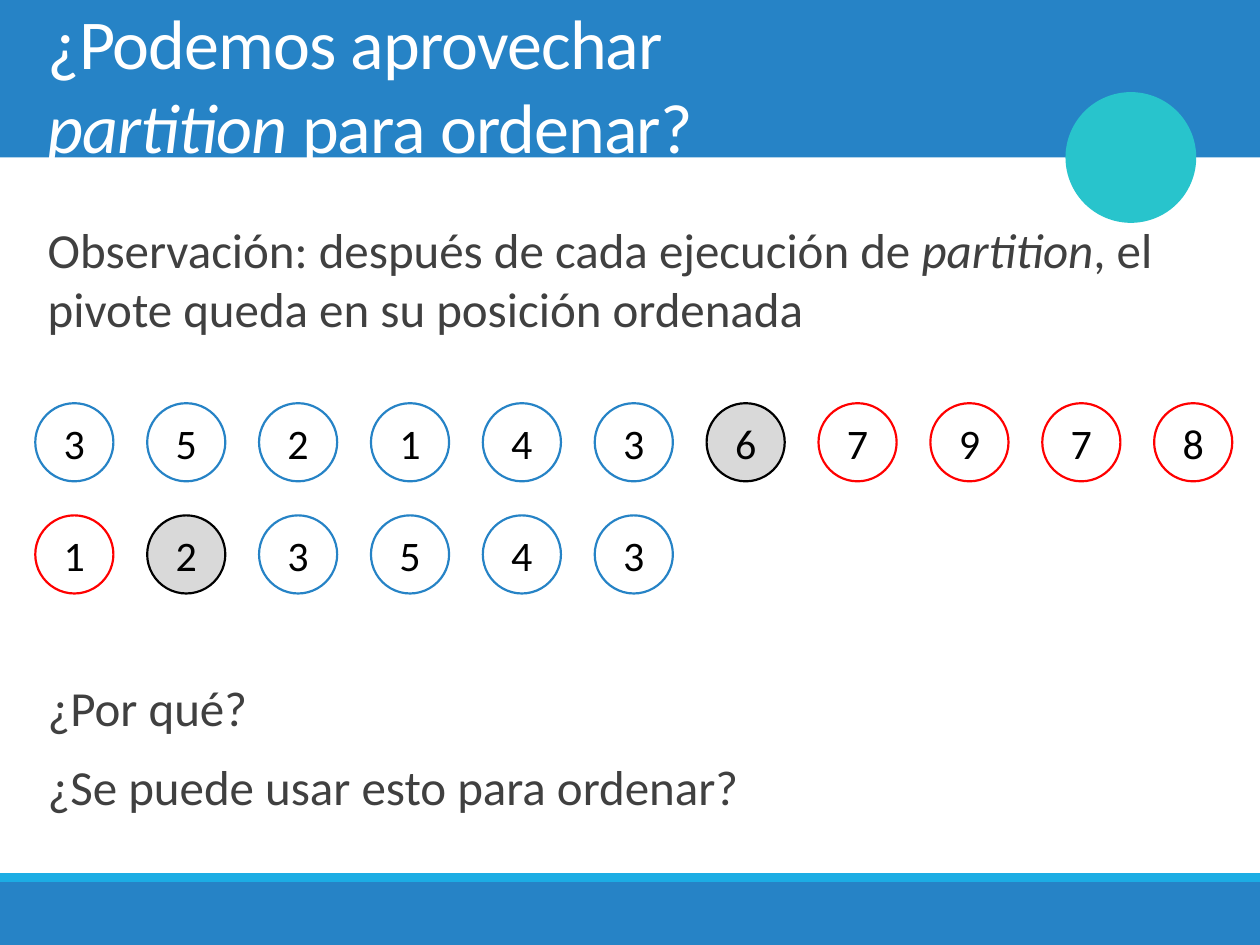
from pptx import Presentation
from pptx.dml.color import RGBColor
from pptx.enum.shapes import MSO_SHAPE
from pptx.enum.text import MSO_ANCHOR, PP_ALIGN
from pptx.util import Inches, Pt

RECT, OVAL = MSO_SHAPE.RECTANGLE, MSO_SHAPE.OVAL
TOP, MIDDLE = MSO_ANCHOR.TOP, MSO_ANCHOR.MIDDLE
CENTER = PP_ALIGN.CENTER

WIDE, HIGH = 10, 7.5
FONT = "Calibri"
HUES = {
    "blue": "2683C6", "sky": "1CADE4", "teal": "28C4CC", "red": "FF0000",
    "white": "FFFFFF", "gray": "D9D9D9", "text": "404040", "black": "000000",
}
# Kind of element: (fill, line)
KINDS = {
    "b": ("white", "blue"),
    "r": ("white", "red"),
    "p": ("gray", "black"),
}
# Each step of the sort: values and their kinds
STEPS = [
    ("35214367978", "bbbbbbprrrr"),
    ("123543", "rpbbbb"),
]
COLS = 11
SIZE = 0.62


def hue(name):
    return RGBColor.from_string(HUES[name])


def style(para, size, color):
    font = para.font
    font.name, font.size = FONT, Pt(size)
    font.color.rgb = hue(color)


def add_form(slide, form, box, fill, line=None, width=0):
    shape = slide.shapes.add_shape(form, *map(Inches, box))
    shape.shadow.inherit = False
    shape.fill.solid()
    shape.fill.fore_color.rgb = hue(fill)
    if line:
        shape.line.color.rgb = hue(line)
        shape.line.width = Pt(width)
    else:
        shape.line.fill.background()
    return shape


def add_text(slide, box, anchor, top, foot):
    """Add a wrapping text box with the given top and bottom insets."""
    frame = slide.shapes.add_textbox(*map(Inches, box)).text_frame
    frame.word_wrap = True
    frame.vertical_anchor = anchor
    frame.margin_top, frame.margin_bottom = Inches(top), Inches(foot)
    return frame


def add_run(para, text, italic=False):
    run = para.add_run()
    run.text = text
    if italic:
        run.font.italic = True
    return run


def add_frame(slide, box):
    """Draw the top band, the bottom band with its stripe, and the disc."""
    left, top, width, height = box
    head, foot, thin, disc = height / 6, height / 15, 0.07, 1.01
    base = top + height - foot
    add_form(slide, RECT, (left, top, width, head), "blue")
    add_form(slide, RECT, (left, base, width, foot), "blue")
    add_form(slide, RECT, (left, base - thin, width, thin), "sky")
    spot = (left + 0.847 * width, top + head - disc / 2, disc, disc)
    add_form(slide, OVAL, spot, "teal", "teal", 2)


def add_title(slide, box):
    para = add_text(slide, box, TOP, 0, 0).paragraphs[0]
    add_run(para, "¿Podemos aprovechar")
    para.add_line_break()
    add_run(para, "partition ", True)
    add_run(para, "para ordenar?")
    for run in para.runs:
        run.font._element.set("spc", "-50")
    style(para, 40, "white")


def add_body(slide, box):
    """Write the remark and the questions, leaving room for the circles."""
    frame = add_text(slide, box, MIDDLE, 0.13, 0.05)
    note = frame.paragraphs[0]
    add_run(note, "Observación: después de cada ejecución de ")
    add_run(note, "partition", True)
    add_run(note, ", el pivote queda en su posición ordenada")
    style(note, 28, "text")
    asks = [("¿Por qué?", 194), ("¿Se puede usar esto para ordenar?", 12)]
    for text, gap in asks:
        para = frame.add_paragraph()
        add_run(para, text)
        para.space_before = Pt(gap)
        style(para, 28, "text")


def add_item(slide, box, value, kind):
    fill, line = KINDS[kind]
    frame = add_form(slide, OVAL, box, fill, line, 1.25).text_frame
    frame.margin_left = frame.margin_right = 0
    frame.margin_top = frame.margin_bottom = 0
    frame.vertical_anchor = MIDDLE
    para = frame.paragraphs[0]
    add_run(para, value)
    para.alignment = CENTER
    style(para, 24, "black")


def add_steps(slide, box):
    """Draw one row of circles for each step, evenly spread over the box."""
    left, top, width, height = box
    across = (width - SIZE) / (COLS - 1)
    down = (height - SIZE) / (len(STEPS) - 1)
    for row, (values, kinds) in enumerate(STEPS):
        for col, (value, kind) in enumerate(zip(values, kinds)):
            spot = (left + col * across, top + row * down, SIZE, SIZE)
            add_item(slide, spot, value, kind)


def main():
    deck = Presentation()
    deck.slide_width, deck.slide_height = Inches(WIDE), Inches(HIGH)
    slide = deck.slides.add_slide(deck.slide_layouts[6])
    left, width = 0.028 * WIDE, 0.945 * WIDE
    add_frame(slide, (0, 0, WIDE, HIGH))
    add_title(slide, (left, 0, width, HIGH / 6))
    add_body(slide, (left, 1.47, width, 5.2))
    add_steps(slide, (left, 3.2, 0.95 * WIDE, 1.51))
    deck.save("out.pptx")


if __name__ == "__main__":
    main()
